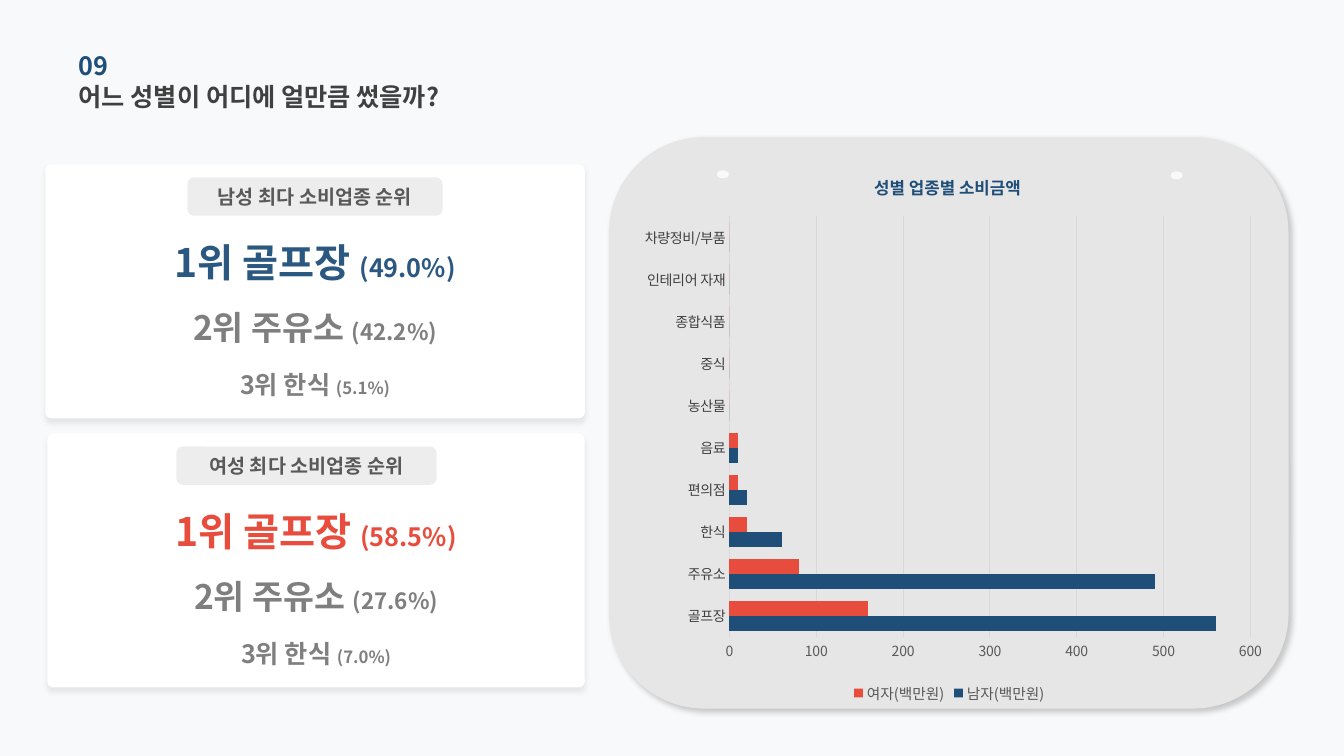
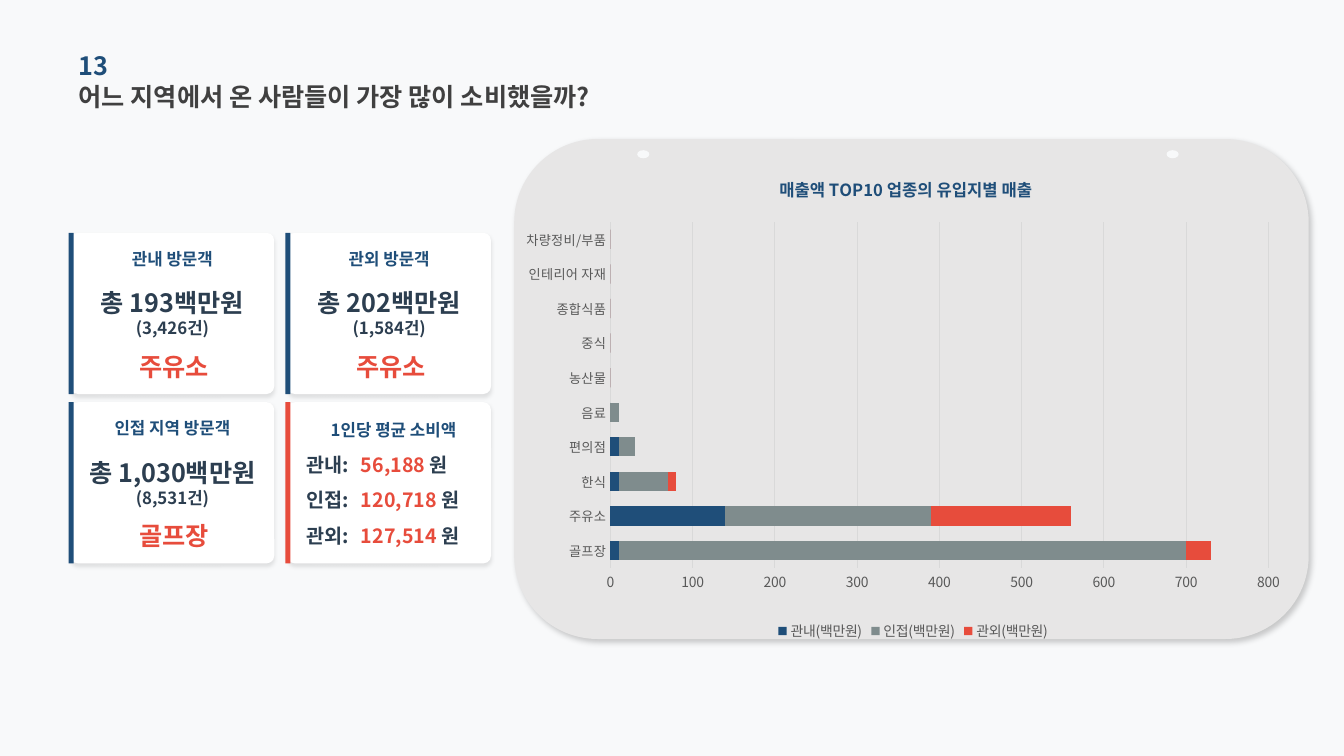
from lxml import etree
from pptx import Presentation
from pptx.chart.data import CategoryChartData
from pptx.dml.color import RGBColor
from pptx.enum.chart import XL_CHART_TYPE, XL_LEGEND_POSITION, XL_TICK_MARK
from pptx.enum.shapes import MSO_SHAPE
from pptx.enum.text import MSO_ANCHOR, MSO_AUTO_SIZE, PP_ALIGN
from pptx.oxml import parse_xml
from pptx.oxml.ns import qn
from pptx.util import Inches, Pt

CLUSTERED, STACKED = XL_CHART_TYPE.BAR_CLUSTERED, XL_CHART_TYPE.BAR_STACKED
RECT, ROUNDED, OVAL = MSO_SHAPE.RECTANGLE, MSO_SHAPE.ROUNDED_RECTANGLE, MSO_SHAPE.OVAL
LEFT, CENTER = PP_ALIGN.LEFT, PP_ALIGN.CENTER
MIDDLE, NO_AUTOSIZE = MSO_ANCHOR.MIDDLE, MSO_AUTO_SIZE.NONE
LEGEND_BOTTOM, NO_TICKS = XL_LEGEND_POSITION.BOTTOM, XL_TICK_MARK.NONE

FONT = "Noto Sans CJK KR"
PAPER, WHITE, PANEL, CHIP = "F8F9FA", "FFFFFF", "E7E6E6", "D0CECE"
NAVY, BLUE, RED, SLATE, INK = "1F4E79", "2B5880", "E74C3C", "7F8C8D", "2C3E50"
DARK, MUTED, GRAY, GRID = "404040", "595959", "7F7F7F", "D9D9D9"

PANEL_SHADOW = (20, 4, 3, 45)  # opacity %, blur pt, distance pt, angle
RANK_SHADOW = (8, 4, 3, 90)
CARD_SHADOW = (10, 3, 2, 90)

INDUSTRIES = ["골프장", "주유소", "한식", "편의점", "음료", "농산물", "중식",
              "종합식품", "인테리어 자재", "차량정비/부품"]

NO_FILL = ('<c:spPr xmlns:c="http://schemas.openxmlformats.org/drawingml/2006/chart" '
           'xmlns:a="http://schemas.openxmlformats.org/drawingml/2006/main">'
           '<a:noFill/><a:ln><a:noFill/></a:ln></c:spPr>')


def rgb(color):
    return RGBColor.from_string(color)


def child(parent, tag, **attributes):
    element = etree.SubElement(parent, qn(tag))
    for key, value in attributes.items():
        element.set(key, str(value))
    return element


def style_font(font, size, color, bold=False):
    """Set the shared typeface for Latin and Korean text alike, without kerning."""
    font.size, font.bold, font.name = Pt(size), bold, FONT
    font.color.rgb = rgb(color)
    font._rPr.set("kern", "0")
    latin = font._rPr.find(qn("a:latin"))
    east_asian = child(font._rPr, "a:ea", typeface=FONT)
    latin.addnext(east_asian)


def fill_text(frame, paragraphs, align):
    """Each paragraph is a list of (text, size, color) runs, all bold."""
    frame.word_wrap = True
    frame.auto_size = NO_AUTOSIZE
    frame.vertical_anchor = MIDDLE
    frame.margin_left = frame.margin_right = frame.margin_top = frame.margin_bottom = 0
    for index, runs in enumerate(paragraphs):
        paragraph = frame.add_paragraph() if index else frame.paragraphs[0]
        paragraph.alignment = align
        for text, size, color in runs:
            run = paragraph.add_run()
            run.text = text
            style_font(run.font, size, color, True)


def add_text(slide, box, *paragraphs, align=CENTER):
    label = slide.shapes.add_textbox(*map(Inches, box))
    fill_text(label.text_frame, paragraphs, align)


def add_block(slide, kind, box, color, radius=None, shadow=None, opacity=None):
    block = slide.shapes.add_shape(kind, *map(Inches, box))
    block.fill.solid()
    block.fill.fore_color.rgb = rgb(color)
    block.line.fill.background()
    block.shadow.inherit = False
    properties = block._element.spPr
    if radius is not None:
        block.adjustments[0] = radius
    if opacity:
        child(properties.find(".//" + qn("a:srgbClr")), "a:alpha", val=opacity * 1000)
    if shadow:
        alpha, blur, distance, angle = shadow
        outer = child(properties.find(qn("a:effectLst")), "a:outerShdw",
                      blurRad=Pt(blur), dist=Pt(distance), dir=angle * 60000,
                      algn="ctr", rotWithShape=0)
        child(child(outer, "a:srgbClr", val="000000"), "a:alpha", val=alpha * 1000)
    return block


def add_topic_slide(prs, number, question):
    slide = prs.slides.add_slide(prs.slide_layouts[5])
    title = slide.shapes.title
    title.left, title.top, title.width, title.height = map(Inches, (0.78, 0.75, 5.35, 0.41))
    fill_text(title.text_frame, [[(question, 18, DARK)]], LEFT)
    add_text(slide, (0.78, 0.44, 4.52, 0.41), [(number, 18, NAVY)], align=LEFT)
    return slide


def add_panel(slide, box, holes):
    add_block(slide, ROUNDED, box, PANEL, shadow=PANEL_SHADOW)
    for left, top in holes:
        add_block(slide, OVAL, (left, top, 0.12, 0.08), PAPER)


def place_part(part, index, **position):
    """Give a chart part a manual layout, in fractions of the chart."""
    for old in part.findall(qn("c:layout")):
        part.remove(old)
    layout = child(part, "c:layout")
    manual = child(layout, "c:manualLayout")
    if "w" in position:
        child(manual, "c:layoutTarget", val="inner")
    child(manual, "c:xMode", val="edge")
    child(manual, "c:yMode", val="edge")
    for key, value in position.items():
        child(manual, "c:" + key, val=value)
    part.insert(index, layout)


def style_axis(axis, size, color):
    axis.major_tick_mark = axis.minor_tick_mark = NO_TICKS
    style_font(axis.tick_labels.font, size, color)


def add_bars(slide, kind, box, heading, series, axis_max, category_style,
             legend_size, heading_at, plot_at):
    """series holds (name, color, values)."""
    data = CategoryChartData()
    data.categories = INDUSTRIES
    for name, _, values in series:
        data.add_series(name, values)
    chart = slide.shapes.add_chart(kind, *map(Inches, box), data).chart
    chart.font.size, chart.font.name = Pt(10), "Calibri"
    chart._chartSpace.find(qn("c:txPr")).addprevious(parse_xml(NO_FILL))

    chart.has_title = True
    run = chart.chart_title.text_frame.paragraphs[0].add_run()
    run.text = heading
    style_font(run.font, 12, NAVY, True)
    place_part(chart.chart_title._element, 1, **heading_at)

    chart.has_legend = True
    chart.legend.position = LEGEND_BOTTOM
    chart.legend.include_in_layout = False
    style_font(chart.legend.font, legend_size, MUTED)

    plot = chart.plots[0]
    plot.gap_width = 80
    plot.overlap = 100 if kind == STACKED else 0
    plot.vary_by_categories = False
    for bars, (_, color, _) in zip(plot.series, series):
        bars.format.fill.solid()
        bars.format.fill.fore_color.rgb = rgb(color)

    categories, amounts = chart.category_axis, chart.value_axis
    style_axis(categories, *category_style)
    style_axis(amounts, 10, MUTED)
    amounts.minimum_scale, amounts.maximum_scale, amounts.major_unit = 0, axis_max, 100
    amounts.has_major_gridlines = True
    amounts.format.line.fill.background()
    for line in (categories.format.line, amounts.major_gridlines.format.line):
        line.color.rgb = rgb(GRID)
        line.width = Pt(0.75)
    plot_area = chart._chartSpace.find(".//" + qn("c:plotArea"))
    place_part(plot_area, 0, **plot_at)
    plot_area.append(parse_xml(NO_FILL))


def add_rank_card(slide, box, chip_left, chip_width, heading, accent, shares):
    left, top, width, _ = box
    add_block(slide, ROUNDED, box, WHITE, 0.023, RANK_SHADOW)
    ranks = zip(("1위 골프장 ", "2위 주유소 ", "3위 한식 "), shares,
                (28, 24, 18), (18, 16, 12), (accent, GRAY, GRAY),
                (0.73, 1.19, 1.76), (0.48, 0.84, 0.84))
    for rank, share, size, share_size, color, offset, height in ranks:
        add_text(slide, (left, top + offset, width, height),
                 [(rank, size, color), (share, share_size, color)])
    chip = add_block(slide, ROUNDED, (chip_left, top + 0.13, chip_width, 0.38),
                     CHIP, opacity=36)
    fill_text(chip.text_frame, [[(heading, 14, MUTED)]], CENTER)


def add_card(slide, left, top, accent):
    add_block(slide, ROUNDED, (left, top, 2.02, 1.6), WHITE, 0.048, CARD_SHADOW)
    add_block(slide, RECT, (left - 0.02, top, 0.05, 1.6), accent)


def add_visitor_card(slide, left, top, visitors, amount, count, industry):
    add_card(slide, left, top, NAVY)
    add_text(slide, (left, top + 0.1, 2.02, 0.31), [(visitors, 12, NAVY)])
    add_text(slide, (left, top + 0.56, 2.02, 0.47), [(amount, 18, INK)], [(count, 12, INK)])
    add_text(slide, (left + 0.03, top + 1.09, 2, 0.47), [(industry, 18, RED)])


def add_average_card(slide, left, top, averages):
    add_card(slide, left, top, RED)
    add_text(slide, (left + 0.43, top + 0.15, 1.4, 0.25),
             [("1인당 평균 소비액", 12, NAVY)], align=LEFT)
    for row, (region, amount) in enumerate(averages):
        row_top = top + 0.47 + 0.35 * row
        add_text(slide, (left + 0.19, row_top, 0.59, 0.3), [(region, 14, INK)], align=LEFT)
        add_text(slide, (left + 0.73, row_top, 1.25, 0.3),
                 [(amount, 14, RED), ("원", 14, INK)], align=LEFT)


def build_gender_slide(prs):
    slide = add_topic_slide(prs, "09", "어느 성별이 어디에 얼만큼 썼을까?")
    add_panel(slide, (6.04, 1.36, 6.74, 5.67), [(7.11, 1.69), (11.61, 1.7)])
    add_rank_card(slide, (0.45, 1.63, 5.35, 2.52), 1.86, 2.53, "남성 최다 소비업종 순위",
                  BLUE, ("(49.0%)", "(42.2%)", "(5.1%)"))
    add_rank_card(slide, (0.47, 4.3, 5.33, 2.52), 1.75, 2.58, "여성 최다 소비업종 순위",
                  RED, ("(58.5%)", "(27.6%)", "(7.0%)"))
    add_bars(slide, CLUSTERED, (6.19, 1.52, 6.45, 5.5), "성별 업종별 소비금액",
             [("남자(백만원)", NAVY, (560, 490, 60, 20, 10, 0, 0, 0, 0, 0)),
              ("여자(백만원)", RED, (160, 80, 20, 10, 10, 0, 0, 0, 0, 0))],
             600, (10, DARK), 10.5, {"x": 0.38, "y": 0.03},
             {"x": 0.162, "y": 0.114, "w": 0.801, "h": 0.759})


def build_region_slide(prs):
    slide = add_topic_slide(prs, "13", "어느 지역에서 온 사람들이 가장 많이 소비했을까?")
    add_panel(slide, (5.1, 1.38, 7.88, 4.96), [(6.32, 1.49), (11.57, 1.49)])
    columns, rows = (0.7, 2.85), (2.31, 3.99)
    add_visitor_card(slide, columns[0], rows[0], "관내 방문객", "총 193백만원", "(3,426건)", "주유소")
    add_visitor_card(slide, columns[1], rows[0], "관외 방문객", "총 202백만원", "(1,584건)", "주유소")
    add_visitor_card(slide, columns[0], rows[1], "인접 지역 방문객", "총 1,030백만원",
                     "(8,531건)", "골프장")
    add_average_card(slide, columns[1], rows[1],
                     [("관내:", "56,188 "), ("인접:", "120,718 "), ("관외:", "127,514 ")])
    add_bars(slide, STACKED, (5.22, 1.56, 7.61, 4.84), "매출액 TOP10 업종의 유입지별 매출",
             [("관내(백만원)", NAVY, (10, 140, 10, 10, 0, 0, 0, 0, 0, 0)),
              ("인접(백만원)", SLATE, (690, 250, 60, 20, 10, 0, 0, 0, 0, 0)),
              ("관외(백만원)", RED, (30, 170, 10, 0, 0, 0, 0, 0, 0, 0))],
             800, (9.5, MUTED), 10, {"x": 0.32, "y": 0.03},
             {"x": 0.102, "y": 0.133, "w": 0.865, "h": 0.709})


def main():
    prs = Presentation()
    prs.slide_width, prs.slide_height = Inches(13.33), Inches(7.5)
    backdrop = prs.slide_master.background.fill
    backdrop.solid()
    backdrop.fore_color.rgb = rgb(PAPER)
    build_gender_slide(prs)
    build_region_slide(prs)
    prs.save("out.pptx")


if __name__ == "__main__":
    main()
